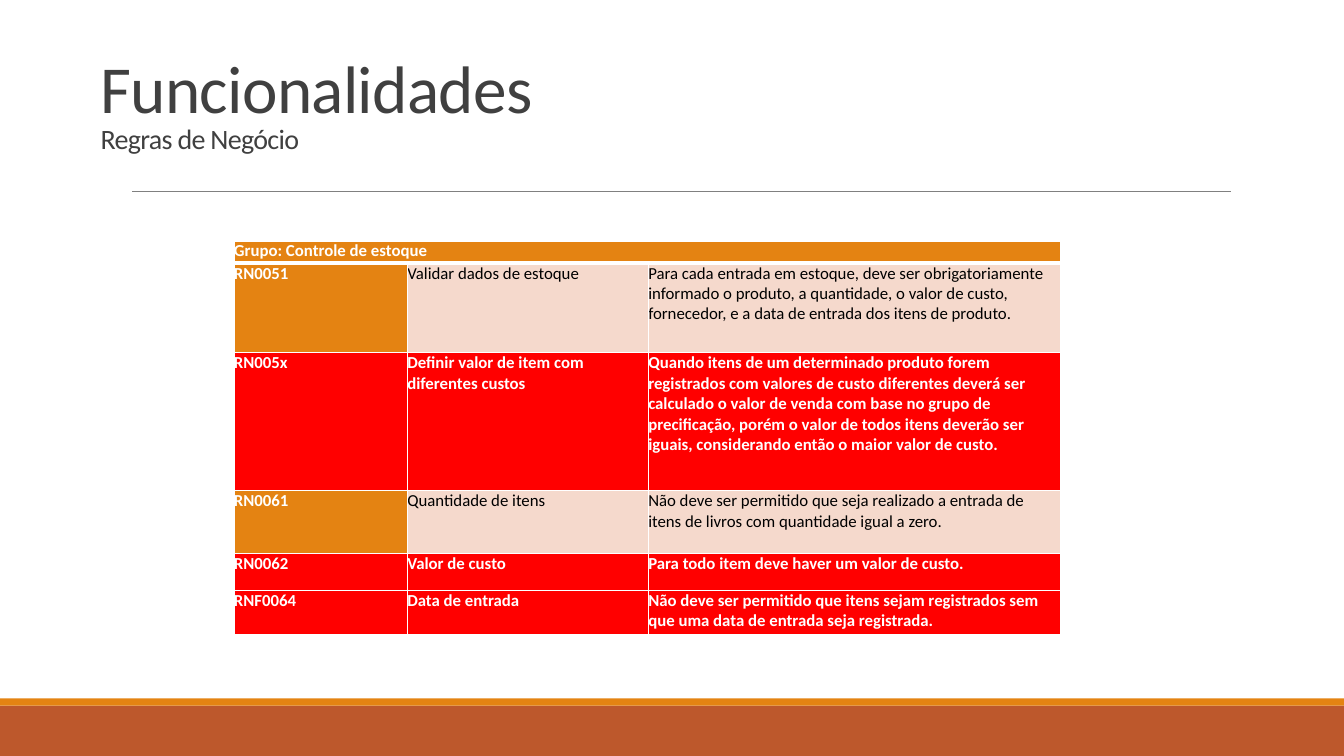
from lxml import etree
from pptx import Presentation
from pptx.dml.color import RGBColor
from pptx.enum.shapes import MSO_CONNECTOR, MSO_SHAPE
from pptx.enum.text import MSO_ANCHOR
from pptx.oxml.ns import qn
from pptx.util import Inches, Pt

RECTANGLE = MSO_SHAPE.RECTANGLE
STRAIGHT = MSO_CONNECTOR.STRAIGHT
BOTTOM = MSO_ANCHOR.BOTTOM

FONT = "Calibri"
COLORS = {
    "rust": "BD582C", "orange": "E48312", "pink": "F5D9CC", "red": "FF0000",
    "rule": "808080", "title": "404040", "white": "FFFFFF", "black": "000000",
}
NO_MARGINS = dict.fromkeys(
    ("margin_left", "margin_top", "margin_right", "margin_bottom"), 0)

GROUP = "Grupo: Controle de estoque"
COLUMN_WIDTHS = (1.72, 2.39, 4.09)
HEADER_HEIGHT = 0.22
# Each rule: row height, highlighted in red, texts
RULES = (
    (0.89, False, ("RN0051", "Validar dados de estoque",
                   "Para cada entrada em estoque, deve ser obrigatoriamente informado "
                   "o produto, a quantidade, o valor de custo, fornecedor, e a data de "
                   "entrada dos itens de produto.")),
    (1.37, True, ("RN005x", "Definir valor de item com diferentes custos",
                  "Quando itens de um determinado produto forem registrados com valores "
                  "de custo diferentes deverá ser calculado o valor de venda com base no "
                  "grupo de precificação, porém o valor de todos itens deverão ser iguais, "
                  "considerando então o maior valor de custo.")),
    (0.62, False, ("RN0061", "Quantidade de itens",
                   "Não deve ser permitido que seja realizado a entrada de itens de "
                   "livros com quantidade igual a zero.")),
    (0.37, True, ("RN0062", "Valor de custo",
                  "Para todo item deve haver um valor de custo.")),
    (0.44, True, ("RNF0064", "Data de entrada",
                  "Não deve ser permitido que itens sejam registrados sem que uma data "
                  "de entrada seja registrada.")),
)


def color(name):
    return RGBColor.from_string(COLORS[name])


def set_attributes(target, values):
    for name, value in values.items():
        setattr(target, name, value)


def add_span(para, text, size, color_name, bold=False):
    span = para.add_run()
    span.text = text
    set_attributes(span.font, {"name": FONT, "size": Pt(size), "bold": bold})
    span.font.color.rgb = color(color_name)
    return span


def add_band(page, top, height, color_name):
    band = page.shapes.add_shape(
        RECTANGLE, 0, Inches(top), Inches(13.33), Inches(height))
    band.shadow.inherit = False
    band.fill.solid()
    band.fill.fore_color.rgb = color(color_name)
    band.line.fill.background()


def add_rule_line(page, left, right, top):
    line = page.shapes.add_connector(
        STRAIGHT, Inches(left), Inches(top), Inches(right), Inches(top))
    line.line.color.rgb = color("rule")
    line.line.width = Pt(0.5)
    etree.SubElement(line._element.spPr, qn("a:effectLst"))


def add_title(page, title, subtitle):
    box = page.shapes.add_textbox(Inches(0.9), 0, Inches(11), Inches(1.59))
    set_attributes(box.text_frame, {"word_wrap": True, "vertical_anchor": BOTTOM})
    para = box.text_frame.paragraphs[0]
    para.line_spacing = 0.85
    spans = [add_span(para, title, 48, "title")]
    para.add_line_break()
    spans.append(add_span(para, subtitle, 20, "title"))
    for span in spans:
        span.font._element.set("spc", "-50")


def add_borders(cell, bottom=1, top=1):
    properties = cell._tc.get_or_add_tcPr()
    for side, width in (("L", 1), ("R", 1), ("T", top), ("B", bottom)):
        border = etree.SubElement(properties, qn(f"a:ln{side}"), w=str(Pt(width)))
        fill = etree.SubElement(border, qn("a:solidFill"))
        etree.SubElement(fill, qn("a:srgbClr"), val=COLORS["white"])


def fill_cell(cell, text, fill, font_color="white", bold=True, **borders):
    set_attributes(cell, NO_MARGINS)
    add_borders(cell, **borders)
    cell.fill.solid()
    cell.fill.fore_color.rgb = color(fill)
    add_span(cell.text_frame.paragraphs[0], text, 12, font_color, bold)


def add_rules_table(page, left, top):
    heights = [HEADER_HEIGHT] + [rule[0] for rule in RULES]
    table = page.shapes.add_table(
        len(heights), len(COLUMN_WIDTHS), Inches(left), Inches(top),
        Inches(sum(COLUMN_WIDTHS)), Inches(sum(heights))).table
    for column, width in zip(table.columns, COLUMN_WIDTHS):
        column.width = Inches(width)
    for row, height in zip(table.rows, heights):
        row.height = Inches(height)

    # Group header across all columns
    header = table.cell(0, 0)
    header.merge(table.cell(0, len(COLUMN_WIDTHS) - 1))
    fill_cell(header, GROUP, "orange", bottom=3)

    # Business rules
    for row, (_, highlighted, texts) in enumerate(RULES, start=1):
        for column, text in enumerate(texts):
            if highlighted:
                style = ("red",)
            elif column == 0:
                style = ("orange",)
            else:
                style = ("pink", "black", False)
            fill_cell(table.cell(row, column), text, *style, top=3 if row == 1 else 1)


def main():
    deck = Presentation()
    deck.slide_width, deck.slide_height = Inches(13.33), Inches(7.5)
    page = deck.slides.add_slide(deck.slide_layouts[6])

    # Footer bands and title rule
    add_band(page, 7, 0.5, "rust")
    add_band(page, 6.93, 0.07, "orange")
    add_rule_line(page, 1.31, 12.21, 1.9)

    # Content
    add_title(page, "Funcionalidades", "Regras de Negócio")
    add_rules_table(page, 2.32, 2.39)
    deck.save("out.pptx")


if __name__ == "__main__":
    main()
